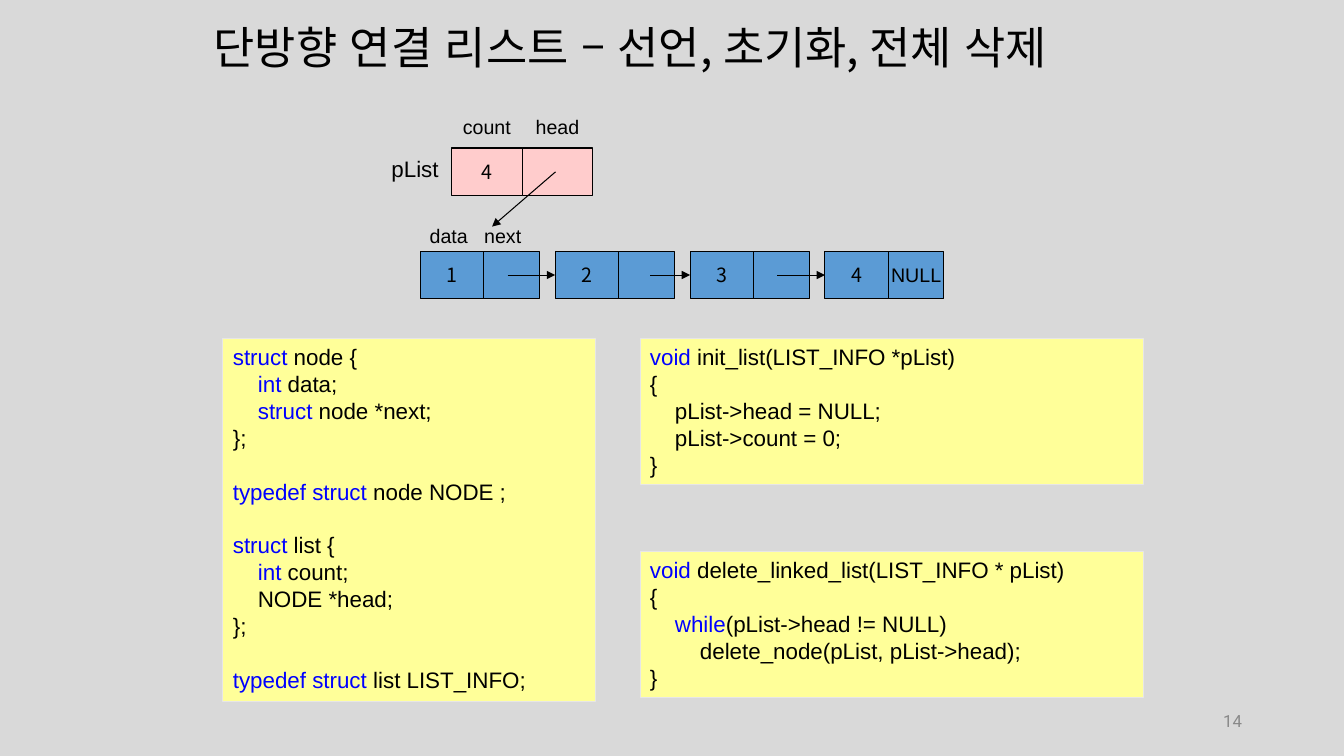
from collections import namedtuple
from lxml import etree
from pptx import Presentation
from pptx import util as u
from pptx.dml.color import RGBColor
from pptx.enum import lang, shapes, text
from pptx.oxml import ns

BLACK = RGBColor(0x00, 0x00, 0x00)
GRAY = RGBColor(0x89, 0x89, 0x89)
BLUE = RGBColor(0x00, 0x00, 0xFF)
BACKGROUND = RGBColor(0xD9, 0xD9, 0xD9)
CODE_FILL = RGBColor(0xFF, 0xFF, 0x99)
CODE_LINE = RGBColor(0xE7, 0xE6, 0xE6)
LIST_FILL = RGBColor(0xFF, 0xCC, 0xCC)
NODE_FILL = RGBColor(0x5B, 0x9B, 0xD5)
SANS, KOREAN, ROBOTO = "Arial", "Noto Sans CJK KR", "Roboto"
CODE_LEADING = 19.2
INDENT = 0.63

Box = namedtuple("Box", "left top width height")

STRUCTS = [
    (0, "struct", " node {", False),
    (1, "int", " data;", False),
    (1, "struct", " node *next;", False),
    (0, "", "};", False),
    (0, "typedef struct", " node NODE ;", True),
    (0, "struct", " list {", True),
    (1, "int", " count;", False),
    (1, "", "NODE *head;", False),
    (0, "", "};", False),
    (0, "typedef struct", " list LIST_INFO;", True),
]
INIT_LIST = [
    (0, "void", " init_list(LIST_INFO *pList)", False),
    (0, "", "{", False),
    (1, "", "pList->head = NULL;", False),
    (1, "", "pList->count = 0;", False),
    (0, "", "}", False),
]
DELETE_LIST = [
    (0, "void", " delete_linked_list(LIST_INFO * pList)", False),
    (0, "", "{", False),
    (1, "while", "(pList->head != NULL)", False),
    (2, "", "delete_node(pList, pList->head);", False),
    (0, "", "}", False),
]


def lengths(box):
    return [u.Cm(value) for value in box]


def add_span(para, words, size, font=SANS, color=BLACK):
    span = para.add_run()
    span.text = words
    span.font.size = u.Pt(size)
    span.font.name = font
    span.font.color.rgb = color
    if font == KOREAN:
        east = etree.SubElement(span.font._element, ns.qn("a:ea"))
        east.set("typeface", font)
    return span


def add_rect(page, box, fill, line):
    rect = page.shapes.add_shape(shapes.MSO_SHAPE.RECTANGLE, *lengths(box))
    rect.shadow.inherit = False
    rect.fill.solid()
    rect.fill.fore_color.rgb = fill
    rect.line.color.rgb = line
    rect.line.width = u.Pt(0.75)
    return rect


def add_cell(page, box, fill, words="", font=KOREAN):
    frame = add_rect(page, box, fill, BLACK).text_frame
    frame.word_wrap = False
    frame.vertical_anchor = text.MSO_ANCHOR.MIDDLE
    para = frame.paragraphs[0]
    para.alignment = text.PP_ALIGN.CENTER
    if words:
        add_span(para, words, 14, font)


def add_label(page, box, words, size=14):
    frame = page.shapes.add_textbox(*lengths(box)).text_frame
    frame.word_wrap = False
    frame.margin_left = frame.margin_right = 0
    para = frame.paragraphs[0]
    para.alignment = text.PP_ALIGN.CENTER
    add_span(para, words, size)


def add_arrow(page, *ends):
    arrow = page.shapes.add_connector(
        shapes.MSO_CONNECTOR.STRAIGHT, *lengths(ends))
    arrow.line.color.rgb = BLACK
    arrow.line.width = u.Pt(0.75)
    outline = arrow.line._get_or_add_ln()
    etree.SubElement(outline, ns.qn("a:tailEnd")).set("type", "triangle")
    etree.SubElement(arrow._element.spPr, ns.qn("a:effectLst"))


def add_title(page, box, words):
    title = page.shapes.title
    title.left, title.top, title.width, title.height = lengths(box)
    frame = title.text_frame
    frame.word_wrap = True
    frame.auto_size = text.MSO_AUTO_SIZE.NONE
    frame.vertical_anchor = text.MSO_ANCHOR.MIDDLE
    para = frame.paragraphs[0]
    para.alignment = text.PP_ALIGN.LEFT
    para.line_spacing = 0.9
    span = add_span(para, words, 32, KOREAN)
    span.font.language_id = lang.MSO_LANGUAGE_ID.KOREAN


def add_list_header(page, box):
    half = box.width / 2
    for index, (label, value) in enumerate([("count", "4"), ("head", "")]):
        left = box.left + index * half
        add_cell(page, Box(left, box.top, half, box.height), LIST_FILL, value)
        add_label(page, Box(left, box.top - 0.95, half, 0.85), label)
    add_label(page, Box(box.left - 1.67, box.top + 0.05, 1.5, 0.94),
              "pList", 16)
    add_arrow(page, box.left + 2.62, box.top + 0.6,
              box.left + 1.02, box.top + 1.98)


def add_nodes(page, box):
    data_width, next_width, pitch = 1.6, 1.4, 3.4
    link_starts = [2.2, 2.4, 2.2]
    middle = box.top + box.height / 2
    for index in range(4):
        left = box.left + index * pitch
        last = index == len(link_starts)
        add_cell(page, Box(left, box.top, data_width, box.height),
                 NODE_FILL, str(index + 1))
        add_cell(page, Box(left + data_width, box.top, next_width, box.height),
                 NODE_FILL, "NULL" if last else "", SANS)
    for index, start in enumerate(link_starts):
        left = box.left + index * pitch
        add_arrow(page, left + start, middle, left + pitch, middle)
    for label, offset in [("data", 0.12), ("next", 1.48)]:
        add_label(page, Box(box.left + offset, box.top - 0.8, 1.2, 0.8),
                  label)


def add_code(page, box, lines):
    frame = add_rect(page, box, CODE_FILL, CODE_LINE).text_frame
    frame.word_wrap = True
    frame.vertical_anchor = text.MSO_ANCHOR.TOP
    for index, (level, keyword, rest, gap) in enumerate(lines):
        para = frame.add_paragraph() if index else frame.paragraphs[0]
        para.alignment = text.PP_ALIGN.LEFT
        para.line_spacing = u.Pt(CODE_LEADING)
        para.space_before = u.Pt(CODE_LEADING if gap else 0)
        para._p.get_or_add_pPr().set("marL", str(u.Cm(level * INDENT)))
        if keyword:
            add_span(para, keyword, 16, color=BLUE)
        add_span(para, rest, 16)


def add_page_number(page, box, number):
    frame = page.shapes.add_textbox(*lengths(box)).text_frame
    frame.word_wrap = True
    frame.vertical_anchor = text.MSO_ANCHOR.MIDDLE
    para = frame.paragraphs[0]
    para.alignment = text.PP_ALIGN.RIGHT
    add_span(para, number, 12, ROBOTO, GRAY)


deck = Presentation()
deck.slide_width, deck.slide_height = u.Cm(33.87), u.Cm(19.05)
page = deck.slides.add_slide(deck.slide_layouts[5])
page.background.fill.solid()
page.background.fill.fore_color.rgb = BACKGROUND

add_title(page, Box(5.13, 0, 23.8, 2.51),
          "단방향 연결 리스트 – 선언, 초기화, 전체 삭제")
add_list_header(page, Box(11.38, 3.73, 3.56, 1.2))
add_nodes(page, Box(10.59, 6.33, 13.2, 1.2))
add_code(page, Box(5.62, 8.53, 9.4, 9.14), STRUCTS)
add_code(page, Box(16.13, 8.53, 12.7, 3.68), INIT_LIST)
add_code(page, Box(16.13, 13.9, 12.7, 3.68), DELETE_LIST)
add_page_number(page, Box(23.93, 17.65, 7.62, 1.02), "14")
deck.save("out.pptx")
